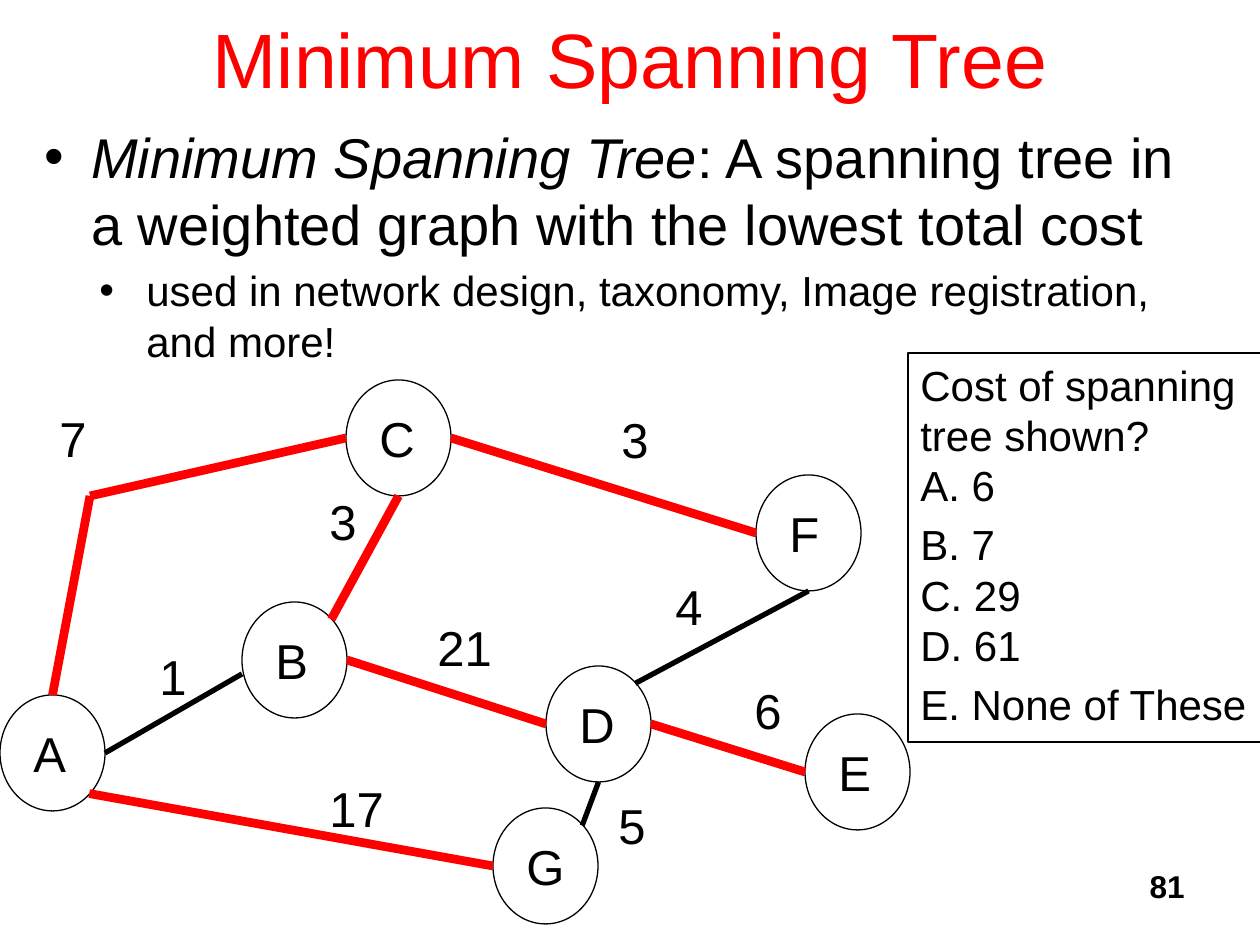
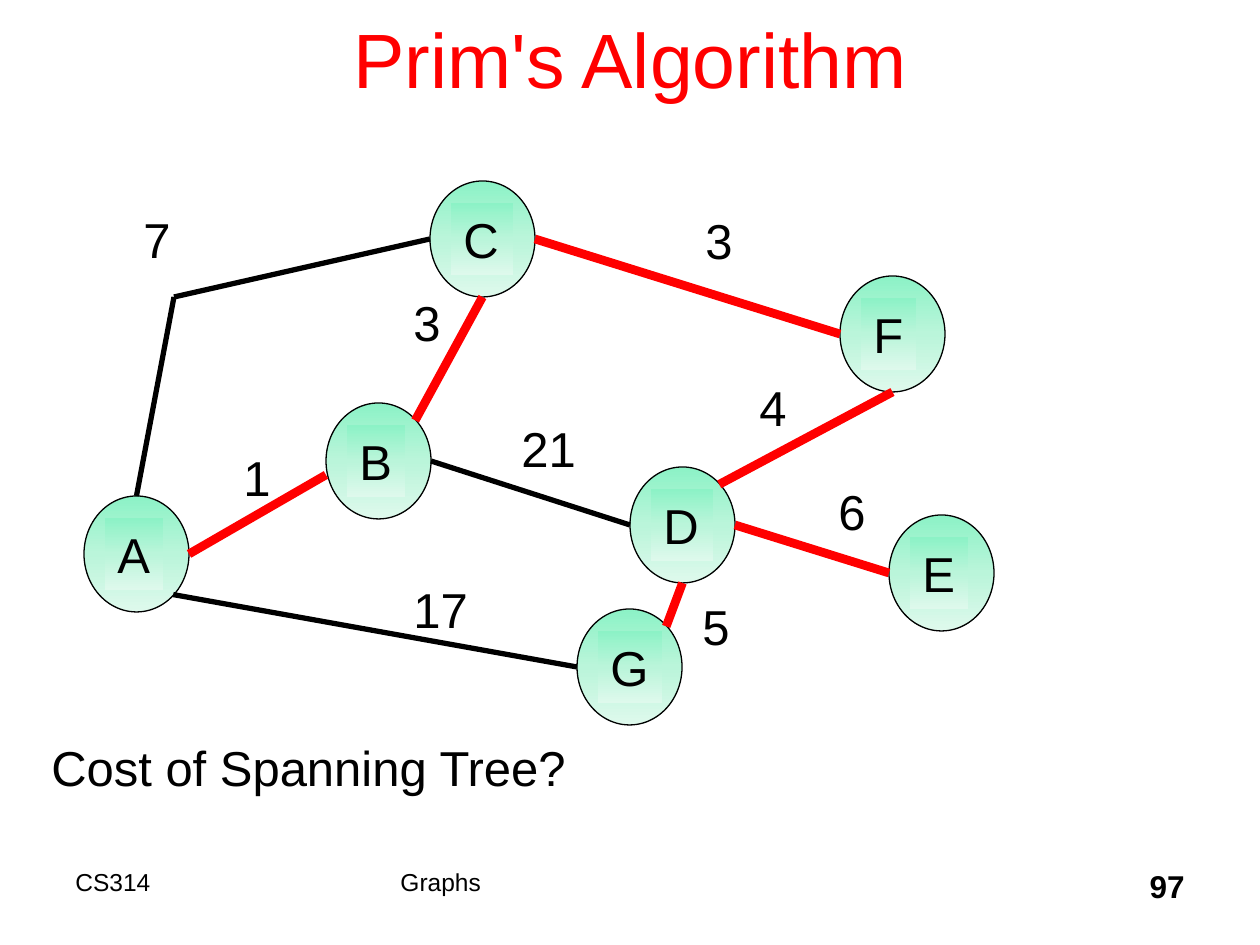
from pptx import Presentation, oxml, util as u
from pptx.dml.color import RGBColor
from pptx.enum import shapes, text
from pptx.oxml import ns

PX = 914400 / 126
FONT = "Arial"
BLACK = RGBColor(0x00, 0x00, 0x00)
RED = RGBColor(0xFF, 0x00, 0x00)
MINT = [(0, RGBColor(0x8C, 0xF2, 0xC6)),
        (50, RGBColor(0xBA, 0xF5, 0xDA)),
        (100, RGBColor(0xDE, 0xF9, 0xEC))]

# Node size, and the points of a node's frame where edges end
NODE_W, NODE_H = 105, 116
N, E, S, W = (0.5, 0), (1, 0.5), (0.5, 1), (0, 0.5)
NE, SE, LOW_W = (0.85, 0.15), (0.85, 0.85), (0, 0.62)
CORNER = (0, 0)

# Left and top of each node, and the width of its letter's box
NODES = {"A": (0, 695, 58), "B": (242, 602, 58), "C": (346, 380, 62),
         "F": (756, 475, 55), "D": (546, 666, 62), "E": (805, 714, 58),
         "G": (493, 808, 64)}
PLACES = {**NODES, "bend": (90, 496, 0)}

# Edge name: its ends in order, its weight, left and top of the weight
EDGES = {
    "AB": ([("A", E), ("B", LOW_W)], "1", 147, 640),
    "BC": ([("B", NE), ("C", S)], "3", 317, 485),
    "CF": ([("C", E), ("F", W)], "3", 609, 403),
    "FD": ([("F", S), ("D", NE)], "4", 663, 570),
    "DE": ([("D", E), ("E", W)], "6", 742, 674),
    "DG": ([("D", S), ("G", NE)], "5", 606, 789),
    "BD": ([("B", E), ("D", W)], "21", 425, 611),
    "AG": ([("A", SE), ("G", W)], "17", 317, 772),
    "AC": ([("A", N), ("bend", CORNER), ("C", W)], "7", 47, 402),
}


def emu(*lengths):
    return [u.Emu(round(v * PX)) for v in lengths]


class Deck:
    def __init__(self):
        self.prs = Presentation()
        self.prs.slide_width, self.prs.slide_height = emu(1260, 945)
        self.s = None

    def slide(self, title, number):
        self.s = self.prs.slides.add_slide(self.prs.slide_layouts[6])
        self.text([title], (95, -21, 1071, 157), 44, color=RED,
                  align=text.PP_ALIGN.CENTER, anchor=text.MSO_ANCHOR.MIDDLE)
        self.text([number], (935, 861, 262, 63), 18, bold=True,
                  align=text.PP_ALIGN.RIGHT)

    def add_words(self, p, words, size, color=BLACK, bold=False, italic=False):
        """Add runs to a paragraph, with a line break at each newline."""
        for i, line in enumerate(words.split("\n")):
            if i:
                p.add_line_break()
            r = p.add_run()
            r.text = line
            f = r.font
            f.name, f.size, f.bold, f.italic = FONT, u.Pt(size), bold, italic
            f.color.rgb = color

    def text(self, paras, box, size, color=BLACK, bold=False, wrap=True,
             align=text.PP_ALIGN.LEFT, anchor=text.MSO_ANCHOR.TOP, parent=None):
        sp = (parent or self.s).shapes.add_textbox(*emu(*box))
        tf = sp.text_frame
        tf.word_wrap, tf.vertical_anchor = wrap, anchor
        for i, words in enumerate(paras):
            p = tf.add_paragraph() if i else tf.paragraphs[0]
            p.alignment = align
            if i:
                p.space_before = u.Pt(size * 0.2)
            self.add_words(p, words, size, color, bold)
        return sp

    def bullets(self, items, box):
        """Items are (indent, size, [(words, italic), ...])."""
        tf = self.text([], box, 32).text_frame
        for i, (indent, size, runs) in enumerate(items):
            p = tf.add_paragraph() if i else tf.paragraphs[0]
            if i:
                p.space_before = u.Pt(size * 0.2)
            pPr = p._p.get_or_add_pPr()
            left, hang = emu(indent, -47)
            pPr.set("marL", str(left))
            pPr.set("indent", str(hang))
            pPr.append(oxml.parse_xml(
                f'<a:buFont {ns.nsdecls("a")} typeface="{FONT}"/>'))
            pPr.append(oxml.parse_xml(
                f'<a:buChar {ns.nsdecls("a")} char="•"/>'))
            for words, italic in runs:
                self.add_words(p, words, size, italic=italic)

    def outline(self, sp):
        sp.line.color.rgb = BLACK
        sp.line.width = u.Pt(0.75)

    def gradient(self, sp, stops):
        sp.fill.gradient()
        old = sp._element.spPr.find(ns.qn("a:gradFill"))
        gs = "".join(f'<a:gs pos="{pos * 1000}"><a:srgbClr val="{c}"/></a:gs>'
                     for pos, c in stops)
        old.getparent().replace(old, oxml.parse_xml(
            f'<a:gradFill {ns.nsdecls("a")} rotWithShape="1">'
            f'<a:gsLst>{gs}</a:gsLst><a:lin ang="5400000" scaled="1"/>'
            '</a:gradFill>'))

    def node(self, letter, x, y, label_w, stops):
        group = self.s.shapes.add_group_shape()
        sp = group.shapes.add_shape(shapes.MSO_SHAPE.OVAL,
                                    *emu(x, y, NODE_W, NODE_H))
        sp.shadow.inherit = False
        self.outline(sp)
        label = self.text([letter], (x + 21, y + 22, label_w, 72), 28,
                          wrap=False, parent=group)
        for part in (sp, label):
            if stops:
                self.gradient(part, stops)
            else:
                part.fill.background()

    def line(self, start, end, color, width):
        c = self.s.shapes.add_connector(shapes.MSO_CONNECTOR.STRAIGHT,
                                        *emu(*start, *end))
        c.line.color.rgb, c.line.width = color, u.Pt(width)
        c._element.spPr.append(
            oxml.parse_xml(f'<a:effectLst {ns.nsdecls("a")}/>'))

    def graph(self, tree, dx=0, dy=0, stops=None):
        """Draw the weighted graph, with the edges of the tree in red."""
        for letter, (x, y, label_w) in NODES.items():
            self.node(letter, x + dx, y + dy, label_w, stops)
        for name, (ends, weight, x, y) in EDGES.items():
            color, width = (RED, 5) if name in tree else (BLACK, 3)
            points = [(PLACES[place][0] + dx + fx * NODE_W,
                       PLACES[place][1] + dy + fy * NODE_H)
                      for place, (fx, fy) in ends]
            for start, end in zip(points, points[1:]):
                self.line(start, end, color, width)
            self.text([weight], (x + dx, y + dy, 25 + 28 * len(weight), 72),
                      28, wrap=False)


def spanning_tree(deck):
    deck.slide("Minimum Spanning Tree", "81")
    deck.bullets([
        (47, 32, [("Minimum Spanning Tree", True),
                  (": A spanning tree in a weighted graph with the lowest "
                   "total cost", False)]),
        (102, 24, [("used in network design, taxonomy, Image registration, "
                    "and more!", False)]),
    ], (32, 116, 1197, 756))
    deck.graph({"AC", "BC", "CF", "BD", "DE", "AG"})
    quiz = deck.text(["Cost of spanning\ntree shown?\nA. 6",
                      "B. 7\nC. 29\nD. 61", "E. None of These"],
                     (908, 353, 354, 389), 24, wrap=False)
    deck.outline(quiz)


def prims_algorithm(deck):
    deck.slide("Prim's Algorithm", "97")
    deck.text(["CS314"], (63, 861, 315, 63), 14)
    deck.text(["Graphs"], (388, 861, 483, 63), 14)
    deck.graph({"AB", "BC", "CF", "FD", "DE", "DG"}, 84, -199, MINT)
    deck.text(["Cost of Spanning Tree?"], (39, 731, 1200, 72), 28)


def main():
    deck = Deck()
    spanning_tree(deck)
    prims_algorithm(deck)
    deck.prs.save("out.pptx")


if __name__ == "__main__":
    main()
